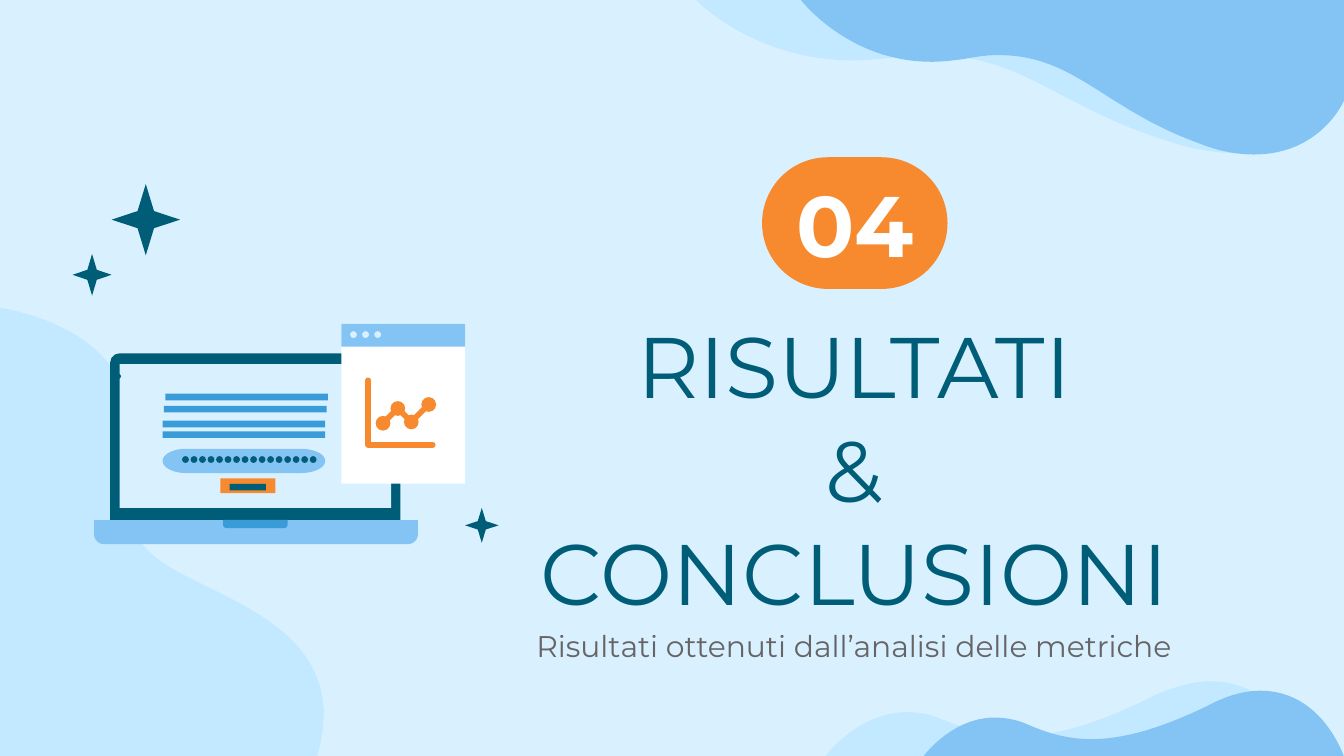
from dataclasses import dataclass

from lxml import etree
from pptx import Presentation
from pptx.dml.color import RGBColor
from pptx.enum.shapes import MSO_SHAPE
from pptx.enum.text import MSO_ANCHOR, MSO_AUTO_SIZE, PP_ALIGN
from pptx.oxml.ns import qn
from pptx.util import Cm, Pt

RECT, OVAL, STAR = MSO_SHAPE.RECTANGLE, MSO_SHAPE.OVAL, MSO_SHAPE.STAR_4_POINT
PILL, TRAY = MSO_SHAPE.ROUNDED_RECTANGLE, MSO_SHAPE.ROUND_2_SAME_RECTANGLE
TOP, MIDDLE = MSO_ANCHOR.TOP, MSO_ANCHOR.MIDDLE
NO_FIT = MSO_AUTO_SIZE.NONE
CENTER = PP_ALIGN.CENTER
TITLE_ONLY = 5
CURVE_STEPS = 24


@dataclass(frozen=True)
class Theme:
    font: str = "Montserrat"
    back: str = "D9F1FF"
    pale: str = "C2E9FF"
    sky: str = "84C4F4"
    blue: str = "399BD8"
    dark: str = "005D77"
    orange: str = "F78A2F"
    white: str = "FFFFFF"
    grey: str = "666466"
    title_size: int = 46
    subtitle_size: int = 16


T = Theme()
BOTTOM = 5.63  # lower edge of the slide on the inch grid


def grid(v):
    """Turn a position on the inch grid into a length."""
    return Cm(v * 2.54)


def rgb(color):
    return RGBColor.from_string(color)


def paint(sp, color):
    sp.shadow.inherit = False
    sp.fill.solid()
    sp.fill.fore_color.rgb = rgb(color)
    sp.line.fill.background()
    return sp


def add_preset(s, kind, box, color, adjust=()):
    sp = s.shapes.add_shape(kind, *map(grid, box))
    for i, value in enumerate(adjust):
        sp.adjustments[i] = value
    return paint(sp, color)


def add_dots(s, x, y, count, step, size, color):
    for i in range(count):
        add_preset(s, OVAL, (x + i * step - size / 2, y - size / 2, size, size), color)


def curve_points(start, curve):
    """Points along a cubic curve given by two handles and an end."""
    pts = [start, curve[:2], curve[2:4], curve[4:]]
    for i in range(1, CURVE_STEPS + 1):
        t = i / CURVE_STEPS
        weights = ((1 - t) ** 3, 3 * t * (1 - t) ** 2, 3 * t * t * (1 - t), t ** 3)
        yield tuple(sum(w * p[axis] for w, p in zip(weights, pts)) for axis in (0, 1))


def add_outline(s, start, segments, color):
    """Closed outline: a pair is a straight line, six numbers are a curve."""
    points = [start]
    for seg in segments:
        points += [seg] if len(seg) == 2 else curve_points(points[-1], seg)
    fb = s.shapes.build_freeform(grid(start[0]), grid(start[1]))
    fb.add_line_segments([(grid(x), grid(y)) for x, y in points[1:]], close=True)
    return paint(fb.convert_to_shape(), color)


def add_polyline(s, points, color, width):
    fb = s.shapes.build_freeform(grid(points[0][0]), grid(points[0][1]))
    fb.add_line_segments([(grid(x), grid(y)) for x, y in points[1:]], close=False)
    sp = fb.convert_to_shape()
    sp.shadow.inherit = False
    sp.fill.background()
    sp.line.color.rgb = rgb(color)
    sp.line.width = Pt(width)
    ln = sp.line._get_or_add_ln()
    ln.set("cap", "rnd")
    etree.SubElement(ln, qn("a:round"))


def write(sp, lines, size, color, anchor, bold=False):
    tf = sp.text_frame
    tf.word_wrap = True
    tf.auto_size = NO_FIT
    tf.vertical_anchor = anchor
    tf.margin_left = tf.margin_right = tf.margin_top = tf.margin_bottom = grid(0.1)
    p = tf.paragraphs[0]
    p.alignment = CENTER
    for i, line in enumerate(lines):
        if i:
            p.add_line_break()
        r = p.add_run()
        r.text = line
        r.font.name, r.font.size, r.font.bold = T.font, Pt(size), bold
        r.font.color.rgb = rgb(color)


def add_waves(s):
    # Left
    add_outline(s, (0, 2.29), [
        (0, 2.29, 0.89, 2.42, 0.93, 3.03), (0.97, 3.65, 0.79, 3.83, 1.15, 4.14),
        (1.51, 4.45, 2.66, 4.62, 2.36, BOTTOM), (0, BOTTOM)], T.pale)
    # Bottom right
    add_outline(s, (9.01, 5.07), [
        (9.53, 5.07, 9.72, BOTTOM, 9.72, BOTTOM), (6.14, BOTTOM),
        (6.14, BOTTOM, 6.38, 5.3, 6.75, 5.3), (6.82, 5.3, 6.91, 5.31, 7, 5.35),
        (7.16, 5.41, 7.33, 5.48, 7.57, 5.48), (7.81, 5.48, 8.12, 5.41, 8.56, 5.19),
        (8.73, 5.11, 8.88, 5.07, 9.01, 5.07)], T.pale)
    add_outline(s, (9.38, 5.14), [
        (9.84, 5.14, 10, BOTTOM, 10, BOTTOM), (6.87, BOTTOM),
        (6.87, BOTTOM, 7.08, 5.34, 7.4, 5.34), (7.47, 5.34, 7.54, 5.35, 7.62, 5.38),
        (7.76, 5.44, 7.91, 5.5, 8.12, 5.5), (8.33, 5.5, 8.6, 5.44, 8.99, 5.25),
        (9.14, 5.17, 9.27, 5.14, 9.38, 5.14)], T.sky)
    # Top right
    add_outline(s, (10, 0), [
        (10, 0.74), (10, 0.74, 9.79, 1.14, 9.21, 1.14),
        (9.07, 1.14, 8.91, 1.12, 8.72, 1.06), (7.87, 0.8, 7.61, 0.41, 6.94, 0.41),
        (6.85, 0.41, 6.74, 0.41, 6.63, 0.43), (6.53, 0.44, 6.44, 0.45, 6.35, 0.45),
        (5.6, 0.45, 5.18, 0, 5.18, 0)], T.pale)
    add_outline(s, (10, 0), [
        (10, 0.75), (10, 0.75, 9.83, 1.15, 9.33, 1.15),
        (9.22, 1.15, 9.08, 1.13, 8.93, 1.07), (8.21, 0.81, 8, 0.41, 7.43, 0.41),
        (7.35, 0.41, 7.27, 0.42, 7.17, 0.44), (7.09, 0.45, 7.01, 0.46, 6.93, 0.46),
        (6.31, 0.46, 5.96, 0, 5.96, 0)], T.sky)


def add_stars(s):
    for box in ((0.83, 1.37, 0.51, 0.53), (0.54, 1.89, 0.29, 0.31), (3.46, 3.78, 0.25, 0.26)):
        add_preset(s, STAR, box, T.dark, (0.17,))


def add_laptop(s):
    add_preset(s, PILL, (0.82, 2.63, 2.16, 1.37), T.dark, (0.05,))
    add_preset(s, RECT, (0.89, 2.71, 2.02, 1.07), T.back)
    add_preset(s, TRAY, (0.7, 3.87, 2.41, 0.18), T.sky, (0, 0.42))
    add_preset(s, TRAY, (1.66, 3.87, 0.48, 0.06), T.blue, (0, 0.4))
    add_dots(s, 0.88, 2.8, 1, 0, 0.04, T.dark)


def add_chart_window(s):
    add_preset(s, RECT, (2.54, 2.41, 0.92, 1.19), T.white)
    add_preset(s, RECT, (2.54, 2.41, 0.92, 0.17), T.sky)
    add_dots(s, 2.63, 2.49, 3, 0.09, 0.05, T.back)
    # Chart icon
    trend = [(2.85, 3.15), (2.96, 3.04), (3.06, 3.14), (3.19, 3.01)]
    add_polyline(s, [(2.74, 2.83), (2.74, 3.31), (3.22, 3.31)], T.orange, 3)
    add_polyline(s, trend, T.orange, 3)
    for x, y in trend:
        add_dots(s, x, y, 1, 0, 0.11, T.orange)


def add_login_form(s):
    for x, y in ((1.23, 2.93), (1.22, 3.02), (1.21, 3.13), (1.21, 3.21)):
        add_preset(s, RECT, (x, y, 1.21, 0.05), T.blue)
    # Password field
    add_outline(s, (2.24, 3.34), [
        (1.38, 3.34), (1.29, 3.34, 1.21, 3.38, 1.21, 3.43),
        (1.21, 3.48, 1.29, 3.52, 1.38, 3.52), (2.24, 3.52),
        (2.34, 3.52, 2.42, 3.48, 2.42, 3.43), (2.42, 3.38, 2.34, 3.34, 2.24, 3.34)], T.sky)
    add_dots(s, 1.38, 3.42, 16, 0.95 / 15, 0.05, T.dark)
    # Button
    add_preset(s, RECT, (1.64, 3.56, 0.41, 0.11), T.orange)
    add_preset(s, RECT, (1.71, 3.6, 0.27, 0.05), T.dark)


def add_texts(s):
    number = add_preset(s, PILL, (5.67, 1.17, 1.38, 0.98), T.orange, (0.5,))
    write(number, ["04"], T.title_size, T.white, MIDDLE, bold=True)
    subtitle = s.shapes.add_textbox(*map(grid, (3.5, 4.57, 5.71, 0.47)))
    write(subtitle, ["Risultati ottenuti dall’analisi delle metriche"],
          T.subtitle_size, T.grey, TOP)
    title = s.shapes.title
    title.left, title.top, title.width, title.height = map(grid, (3.5, 2.23, 5.71, 1.75))
    write(title, ["RISULTATI", "&", "CONCLUSIONI"], T.title_size, T.dark, TOP)


def main():
    prs = Presentation()
    prs.slide_width, prs.slide_height = Cm(25.4), Cm(14.29)
    s = prs.slides.add_slide(prs.slide_layouts[TITLE_ONLY])
    s.background.fill.solid()
    s.background.fill.fore_color.rgb = rgb(T.back)
    add_waves(s)
    add_texts(s)
    add_stars(s)
    add_laptop(s)
    add_chart_window(s)
    add_login_form(s)
    prs.save("out.pptx")


main()
